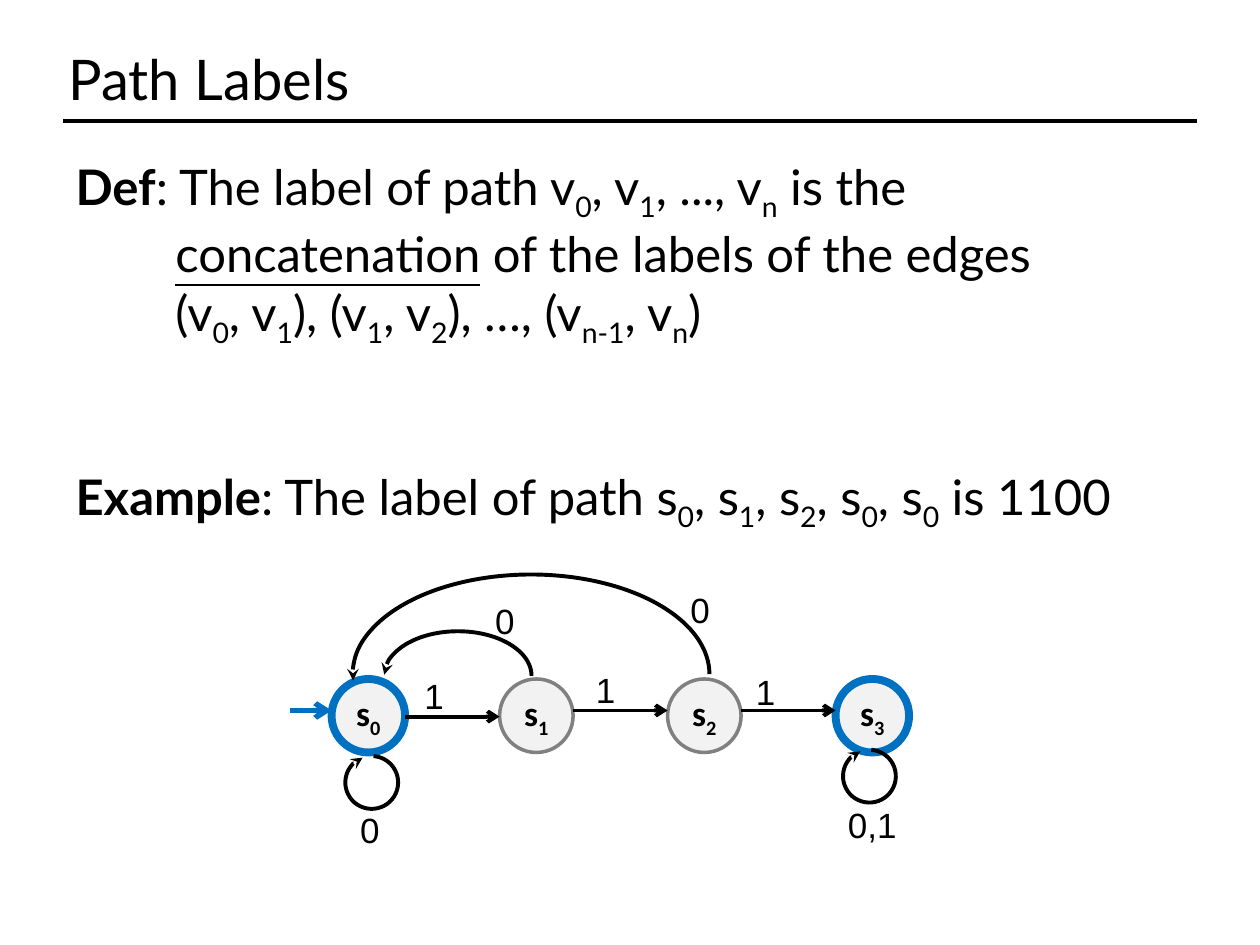
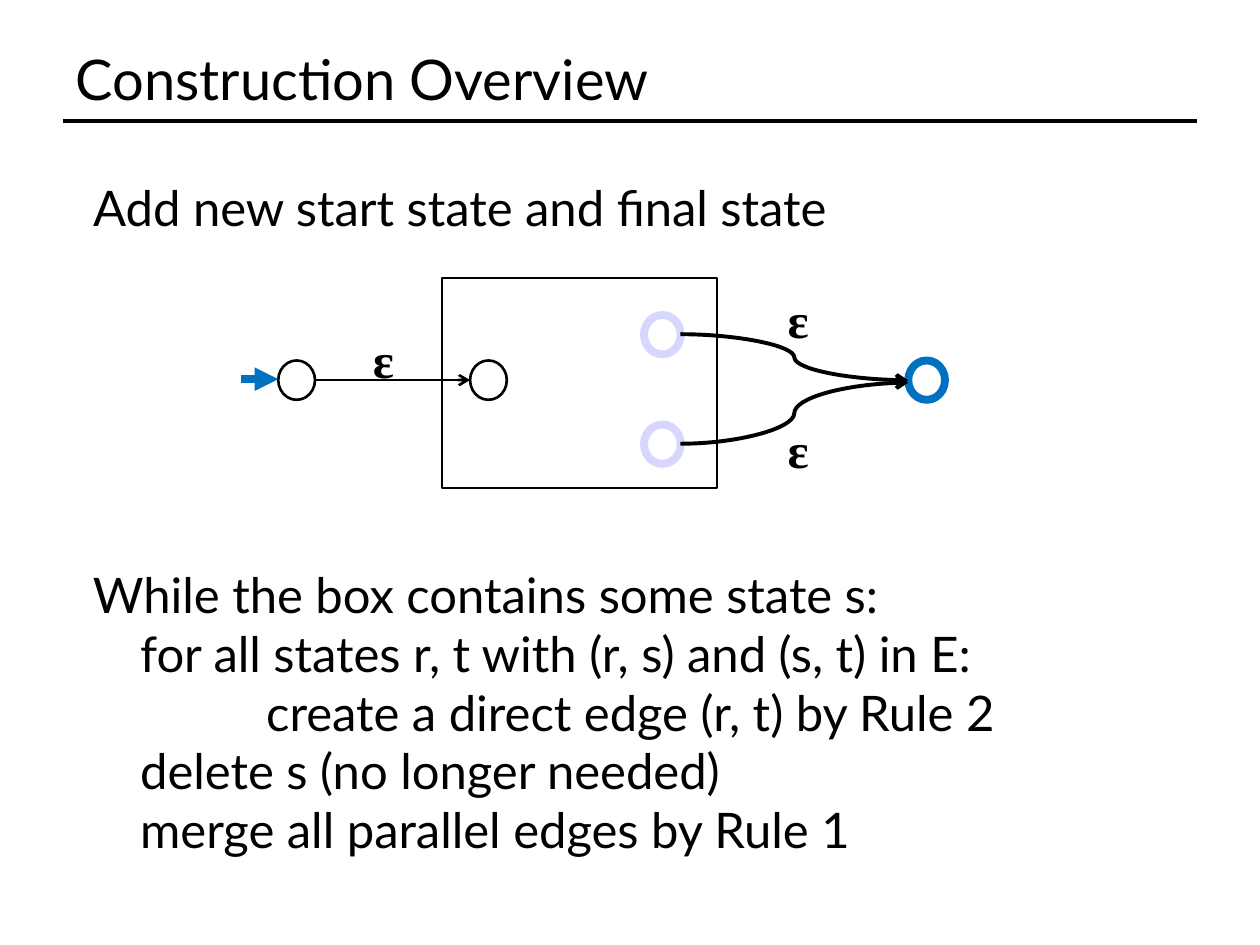
import pptx
import pptx.dml.color
import pptx.enum.shapes
import pptx.enum.text
import pptx.oxml
import pptx.oxml.ns
import pptx.util

Pt = pptx.util.Pt
SHAPE = pptx.enum.shapes.MSO_SHAPE
CONNECTOR = pptx.enum.shapes.MSO_CONNECTOR
ANCHOR = pptx.enum.text.MSO_ANCHOR
ALIGN = pptx.enum.text.PP_ALIGN

# Shared colours and fonts
BLACK, BLUE, GREY = "000000", "0070C0", "808080"
STATE_FILL, LILAC = "F2F2F2", "D6D6FF"
TEXT_FONT, STATE_FONT = "Lato", "Calibri"
LABEL_FONT, EPSILON_FONT = "Arial", "Times New Roman"


def rgb(color):
    return pptx.dml.color.RGBColor.from_string(color)


def add_xml(parent, tag, **attributes):
    el = pptx.oxml.ns.qn("a:" + tag)
    child = parent.makeelement(el, attributes)
    parent.append(child)


# Text
def add_text(p, text, size, font=TEXT_FONT, bold=False, underline=False):
    """Add runs to p; parts in braces become subscripts."""
    for i, part in enumerate(text.replace("}", "{").split("{")):
        if not part:
            continue
        r = p.add_run()
        r.text = part
        r.font.size = Pt(size)
        r.font.name = font
        r.font.bold = bold
        r.font.color.rgb = rgb(BLACK)
        if underline:
            r.font.underline = True
        if i % 2:
            r._r.get_or_add_rPr().set("baseline", "-25000")


def add_paragraph(tf, left=0, before=0):
    """Return a new unbulleted paragraph, using the empty first one if free."""
    p = tf.paragraphs[0] if not tf.paragraphs[0].runs else tf.add_paragraph()
    p.space_before = Pt(before)
    pPr = p._p.get_or_add_pPr()
    pPr.set("marL", str(Pt(left)))
    pPr.set("indent", "0")
    add_xml(pPr, "buNone")
    return p


def place(sp, x, y, w, h):
    sp.left, sp.top, sp.width, sp.height = Pt(x), Pt(y), Pt(w), Pt(h)
    tf = sp.text_frame
    tf.word_wrap = True
    tf.auto_size = pptx.enum.text.MSO_AUTO_SIZE.NONE
    tf.vertical_anchor = ANCHOR.TOP
    return tf


def add_label(slide, text, x, y, w=18, h=32, size=20, font=LABEL_FONT, bold=False):
    sp = slide.shapes.add_textbox(Pt(x), Pt(y), Pt(w), Pt(h))
    tf = sp.text_frame
    tf.word_wrap = False
    add_text(tf.paragraphs[0], text, size, font, bold)


# Shapes and lines
def add_outline(slide, kind, x, y, w, h, color, width, fill=None):
    sp = slide.shapes.add_shape(kind, Pt(x), Pt(y), Pt(w), Pt(h))
    sp.shadow.inherit = False
    if fill:
        sp.fill.solid()
        sp.fill.fore_color.rgb = rgb(fill)
    else:
        sp.fill.background()
    sp.line.color.rgb = rgb(color)
    sp.line.width = Pt(width)
    return sp


def add_state(slide, name, x, color, width):
    sp = add_outline(slide, SHAPE.OVAL, x, 388, 42, 42, color, width, STATE_FILL)
    tf = sp.text_frame
    tf.margin_left = tf.margin_right = tf.margin_top = tf.margin_bottom = 0
    tf.word_wrap = False
    tf.vertical_anchor = ANCHOR.MIDDLE
    p = tf.paragraphs[0]
    p.alignment = ALIGN.CENTER
    add_text(p, name, 20, STATE_FONT, bold=True)


def add_arc(slide, x, y, w, h, start, arrow_end, rotation=0):
    sp = add_outline(slide, SHAPE.ARC, x, y, w, h, BLACK, 2.25)
    sp.adjustments[0] = start
    sp.adjustments[1] = 0
    sp.rotation = rotation
    add_xml(sp.line._get_or_add_ln(), arrow_end, type="stealth")


def add_line(slide, x1, y1, x2, y2, color=BLACK, width=2.25, arrow="arrow",
             kind=CONNECTOR.STRAIGHT):
    line = slide.shapes.add_connector(kind, Pt(x1), Pt(y1), Pt(x2), Pt(y2))
    line.line.color.rgb = rgb(color)
    line.line.width = Pt(width)
    if arrow:
        add_xml(line.line._get_or_add_ln(), "tailEnd", type=arrow)
    add_xml(line._element.spPr, "effectLst")


# Common slide frame: title, rule below it and body
def add_slide(prs, title, title_box, body_box):
    slide = prs.slides.add_slide(prs.slide_layouts[1])
    add_line(slide, 36, 69, 684, 69, width=2, arrow=None)
    tf = place(slide.shapes.title, *title_box)
    p = tf.paragraphs[0]
    p.alignment = ALIGN.LEFT
    add_text(p, title, 32)
    return slide, place(slide.placeholders[1], *body_box)


def add_path_labels(prs):
    slide, tf = add_slide(prs, "Path Labels", (32, 21.6, 696, 90),
                          (36, 85.7, 648, 405))

    # Definition and example
    p = add_paragraph(tf)
    add_text(p, "Def", 28, bold=True)
    add_text(p, ": The label of path v{0}, v{1}, ..., v{n} is the", 28)
    p = add_paragraph(tf, left=57)
    add_text(p, "concatenation", 28, underline=True)
    add_text(p, " of the labels of the edges", 28)
    p = add_paragraph(tf, left=57)
    add_text(p, "(v{0}, v{1}), (v{1}, v{2}), …, (v{n-1}, v{n})", 28)
    p = add_paragraph(tf, before=67)
    add_text(p, "Example", 28, bold=True)
    add_text(p, ": The label of path s{0}, s{1}, s{2}, s{0}, s{0} is 1100", 28)

    # States: the outer two are accepting
    first, pitch, size = 189.5, 96, 42
    for i in range(4):
        color, width = (BLUE, 4.5) if i in (0, 3) else (GREY, 2)
        add_state(slide, f"s{{{i}}}", first + i * pitch, color, width)

    # Forward edges
    add_line(slide, 165.6, 406, 189.5, 406, BLUE, 3)
    for i, y in enumerate((409.5, 406, 406)):
        x = first + i * pitch
        add_line(slide, x + size, y, x + pitch, y)

    # Edges back to the start, and loops
    add_arc(slide, 219.6, 360.7, 84.2, 51, 108.556, "headEnd")
    add_arc(slide, 201.6, 328.3, 203.8, 113.8, 106.771, "headEnd")
    for x, y in ((197.3, 432), (481.7, 428.4)):
        add_arc(slide, x, y, 30.2, 30.2, 14.537, "tailEnd", rotation=249.8)

    # Edge labels
    for text, x, y in (("1", 235.4, 381.6), ("1", 333.4, 378.7),
                       ("1", 424.8, 379.4), ("0", 275.8, 339.1),
                       ("0", 387.4, 332.6), ("0", 198.7, 458.6)):
        add_label(slide, text, x, y)
    add_label(slide, "0,1", 477.4, 455.8, w=63)


def add_construction(prs):
    slide, tf = add_slide(prs, "Construction Overview", (36, 21.6, 648, 47.5),
                          (46, 98, 648, 405))
    add_text(add_paragraph(tf), "Add new start state and final state", 28)

    # Elimination loop
    sp = slide.shapes.add_textbox(0, 0, 0, 0)
    tf = place(sp, 46, 319, 552, 220)
    for left, text in (
            (0, "While the box contains some state s:"),
            (27, "for all states r, t with (r, s) and (s, t) in E:"),
            (99, "create a direct edge (r, t) by Rule 2"),
            (27, "delete s (no longer needed)"),
            (27, "merge all parallel edges by Rule 1")):
        add_text(add_paragraph(tf, left), text, 28)

    # Box and states
    add_outline(slide, SHAPE.RECTANGLE, 252.7, 159, 157, 120, BLACK, 1)
    for x, y, color, width in ((159, 206, BLACK, 1.5), (268.6, 206, BLACK, 1.5),
                               (368, 180, LILAC, 4.5), (368, 242.6, LILAC, 4.5),
                               (519, 206, BLUE, 4.5)):
        add_outline(slide, SHAPE.OVAL, x, y, 21, 22.5, color, width)

    # Edges
    add_line(slide, 138, 216.7, 159, 216.7, BLUE, 4.5, "triangle")
    add_line(slide, 180, 217.2, 268.6, 217.2, width=1.5)
    for y1, y2 in ((191, 217.3), (253.6, 218.7)):
        add_line(slide, 388.8, y1, 519, y2, kind=CONNECTOR.CURVE)

    # Empty-word labels
    for x, y in ((206, 185), (443, 162), (443, 236.2)):
        add_label(slide, "ɛ", x, y, 27, 41, 28, EPSILON_FONT, bold=True)


def main():
    prs = pptx.Presentation()
    prs.slide_width, prs.slide_height = Pt(720), Pt(540)
    add_path_labels(prs)
    add_construction(prs)
    prs.save("out.pptx")


if __name__ == "__main__":
    main()
